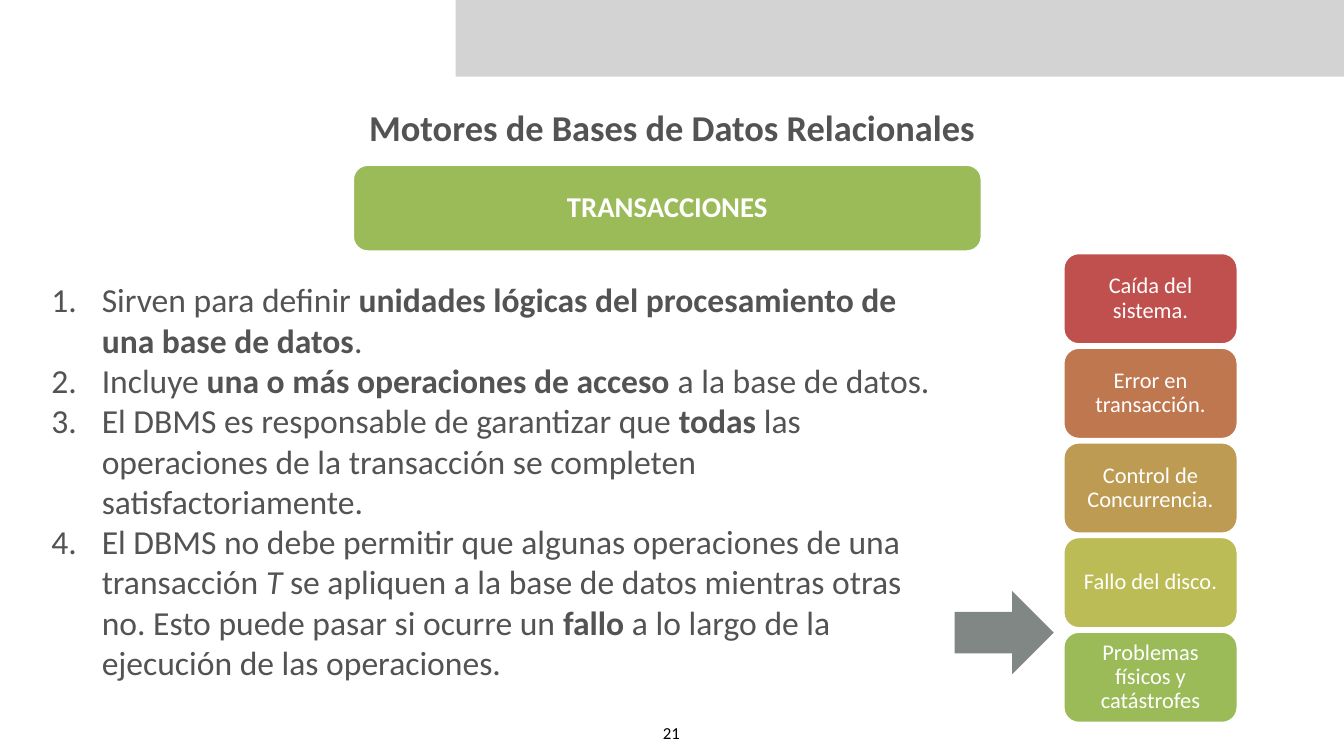
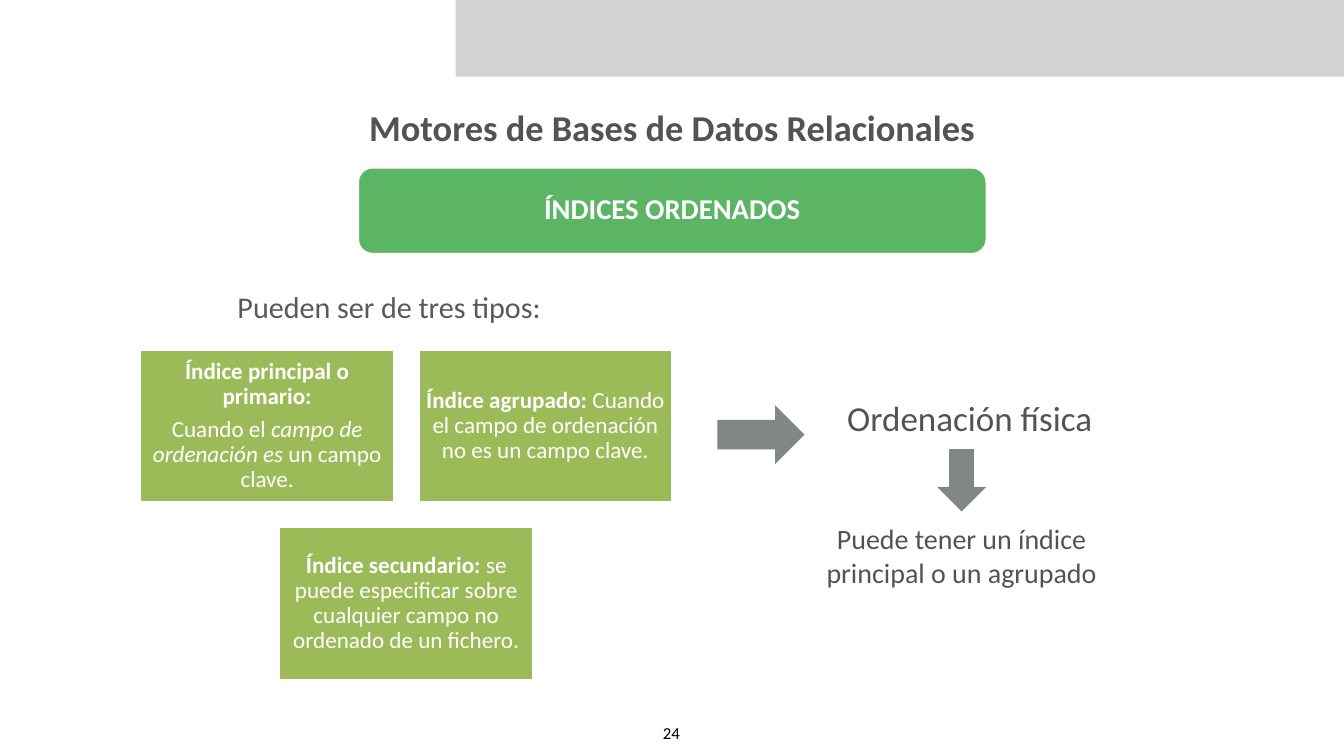
from lxml import etree
from pptx import Presentation
from pptx import util as u
from pptx.dml.color import RGBColor
from pptx.enum import shapes, text
from pptx.oxml.ns import qn

COLORS = {
    "band": "D3D3D3", "title": "535353", "heading": "595959", "arrow": "808785",
    "white": "FFFFFF", "black": "000000", "lime": "9BBB59", "green": "5CB565",
    "red": "C0504D", "orange": "BF7750", "ochre": "BD9B53", "olive": "BCBC56",
}
FONT = "Calibri"
SHAPE = shapes.MSO_SHAPE


class Deck:
    """Holds the common style and the slide being built."""

    def __init__(self):
        self.prs = Presentation()
        self.prs.slide_width, self.prs.slide_height = u.Cm(67.74), u.Cm(38.1)
        self.slide = None

    def new_slide(self, number):
        self.slide = self.prs.slides.add_slide(self.prs.slide_layouts[6])
        self.shape(SHAPE.RECTANGLE, (22.96, -0.1, 44.91, 3.96), "band")
        self.label((13.44, 5.11, 40.87, 2.62),
                   [[("Motores de Bases de Datos Relacionales", "b")]], 52)
        self.label((33.2, 36.22, 1.27, 1.4), [[(number, "")]], 24, "black",
                   wrap=False, anchor=text.MSO_ANCHOR.TOP)

    def shape(self, kind, box, fill, outline=None):
        shape = self.slide.shapes.add_shape(kind, *map(u.Cm, box))
        shape.shadow.inherit = False
        shape.fill.solid()
        shape.fill.fore_color.rgb = RGBColor.from_string(COLORS[fill])
        if outline:
            shape.line.color.rgb = RGBColor.from_string(COLORS[outline])
            shape.line.width = u.Pt(2)
        else:
            shape.line.fill.background()
        return shape

    def card(self, kind, box, fill, paragraphs, size, insets):
        card = self.shape(kind, box, fill, "white")
        self.set_text(card.text_frame, paragraphs, size, "white", insets, spacing=0.9)

    def banner(self, left, top, fill, caption):
        self.card(SHAPE.ROUNDED_RECTANGLE, (left, top, 31.65, 4.32), fill,
                  [[(caption, "b")]], 41, (0.43, 0.43))

    def label(self, box, paragraphs, size, color="title", insets=(0.2, 0.2), **style):
        frame = self.slide.shapes.add_textbox(*map(u.Cm, box)).text_frame
        self.set_text(frame, paragraphs, size, color, insets, **style)

    def set_text(self, frame, paragraphs, size, color, insets, spacing=1.0, wrap=True,
                 align=text.PP_ALIGN.CENTER, anchor=text.MSO_ANCHOR.MIDDLE,
                 numbered=False):
        """Each paragraph is a list of (words, style); style is "", "b" or "i"."""
        frame.word_wrap = wrap
        frame.vertical_anchor = anchor
        frame.margin_left = frame.margin_right = u.Cm(insets[0])
        frame.margin_top = frame.margin_bottom = u.Cm(insets[1])
        for index, runs in enumerate(paragraphs):
            paragraph = frame.paragraphs[0] if index == 0 else frame.add_paragraph()
            paragraph.alignment = align
            paragraph.line_spacing = spacing
            if spacing < 1 and index < len(paragraphs) - 1:
                paragraph.space_after = u.Pt(round(size * 0.35))
            if numbered:
                self.number(paragraph)
            for words, style in runs:
                run = paragraph.add_run()
                run.text = words
                run.font.name = FONT
                run.font.size = u.Pt(size)
                run.font.bold = style == "b"
                run.font.italic = style == "i"
                run.font.color.rgb = RGBColor.from_string(COLORS[color])

    def number(self, paragraph):
        props = paragraph._p.get_or_add_pPr()
        props.set("marL", str(u.Cm(2.54)))
        props.set("indent", str(-u.Cm(2.54)))
        etree.SubElement(props, qn("a:buFont"), typeface="+mj-lt")
        etree.SubElement(props, qn("a:buAutoNum"), type="arabicPeriod")


def transactions(deck):
    deck.new_slide("21")
    deck.banner(17.81, 8.33, "lime", "TRANSACCIONES")

    # Properties of a transaction
    properties = [
        [("Sirven para definir ", ""),
         ("unidades lógicas del procesamiento de una base de datos", "b"), (".", "")],
        [("Incluye ", ""), ("una o más operaciones de acceso", "b"),
         (" a la base de datos.", "")],
        [("El DBMS es responsable de garantizar que ", ""), ("todas ", "b"),
         ("las operaciones de la transacción se completen satisfactoriamente.", "")],
        [("El DBMS no debe permitir que algunas operaciones de una transacción ", ""),
         ("T ", "i"),
         ("se apliquen a la base de datos mientras otras no. "
          "Esto puede pasar si ocurre un ", ""),
         ("fallo", "b"), (" a lo largo de la ejecución de las operaciones.", "")],
    ]
    deck.label((2.39, 12.75, 45.72, 22.96), properties, 48,
               align=text.PP_ALIGN.LEFT, numbered=True)

    # Kinds of failure
    failures = [
        ("Caída del sistema.", "red"),
        ("Error en transacción.", "orange"),
        ("Control de Concurrencia.", "ochre"),
        ("Fallo del disco.", "olive"),
        ("Problemas físicos y catástrofes", "lime"),
    ]
    for row, (failure, fill) in enumerate(failures):
        deck.card(SHAPE.ROUNDED_RECTANGLE, (53.62, 12.78 + row * 4.77, 8.74, 4.55),
                  fill, [[(failure, "")]], 32, (0.33, 0.18))
    deck.shape(SHAPE.RIGHT_ARROW, (48.11, 29.79, 5, 4.19), "arrow")


def ordered_indexes(deck):
    deck.new_slide("24")
    deck.banner(18.06, 8.46, "green", "ÍNDICES ORDENADOS")

    # Three types, placed by column and row
    deck.label((11.51, 14.27, 24.64, 2.59), [[("Pueden ser de tres tipos:", "")]], 43,
               "heading", (0.46, 0.46), spacing=0.9, align=text.PP_ALIGN.LEFT)
    index_types = [
        (0, 0, [[("Índice principal o primario:", "b")],
                [("Cuando el ", ""), ("campo de ordenación es ", "i"),
                 ("un campo clave.", "")]]),
        (1, 0, [[("Índice agrupado: ", "b"),
                 ("Cuando el campo de ordenación no es un campo clave.", "")]]),
        (0.5, 1, [[("Índice secundario:", "b"),
                   (" se puede especificar sobre cualquier campo no ordenado "
                    "de un fichero.", "")]]),
    ]
    for column, row, description in index_types:
        deck.card(SHAPE.RECTANGLE,
                  (7.09 + column * 14.02, 17.65 + row * 8.94, 12.75, 7.65),
                  "lime", description, 33, (0.36, 0.36))

    # Physical order and what it allows
    deck.shape(SHAPE.RIGHT_ARROW, (36.16, 20.43, 4.39, 2.95), "arrow")
    deck.label((40.97, 19.79, 15.82, 2.54), [[("Ordenación física", "")]], 50)
    deck.shape(SHAPE.DOWN_ARROW, (47.22, 22.63, 2.49, 3.15), "arrow")
    deck.label((39.7, 26.09, 17.53, 3.81),
               [[("Puede tener un índice principal o un agrupado", "")]], 40)


def main():
    deck = Deck()
    transactions(deck)
    ordered_indexes(deck)
    deck.prs.save("out.pptx")


if __name__ == "__main__":
    main()
